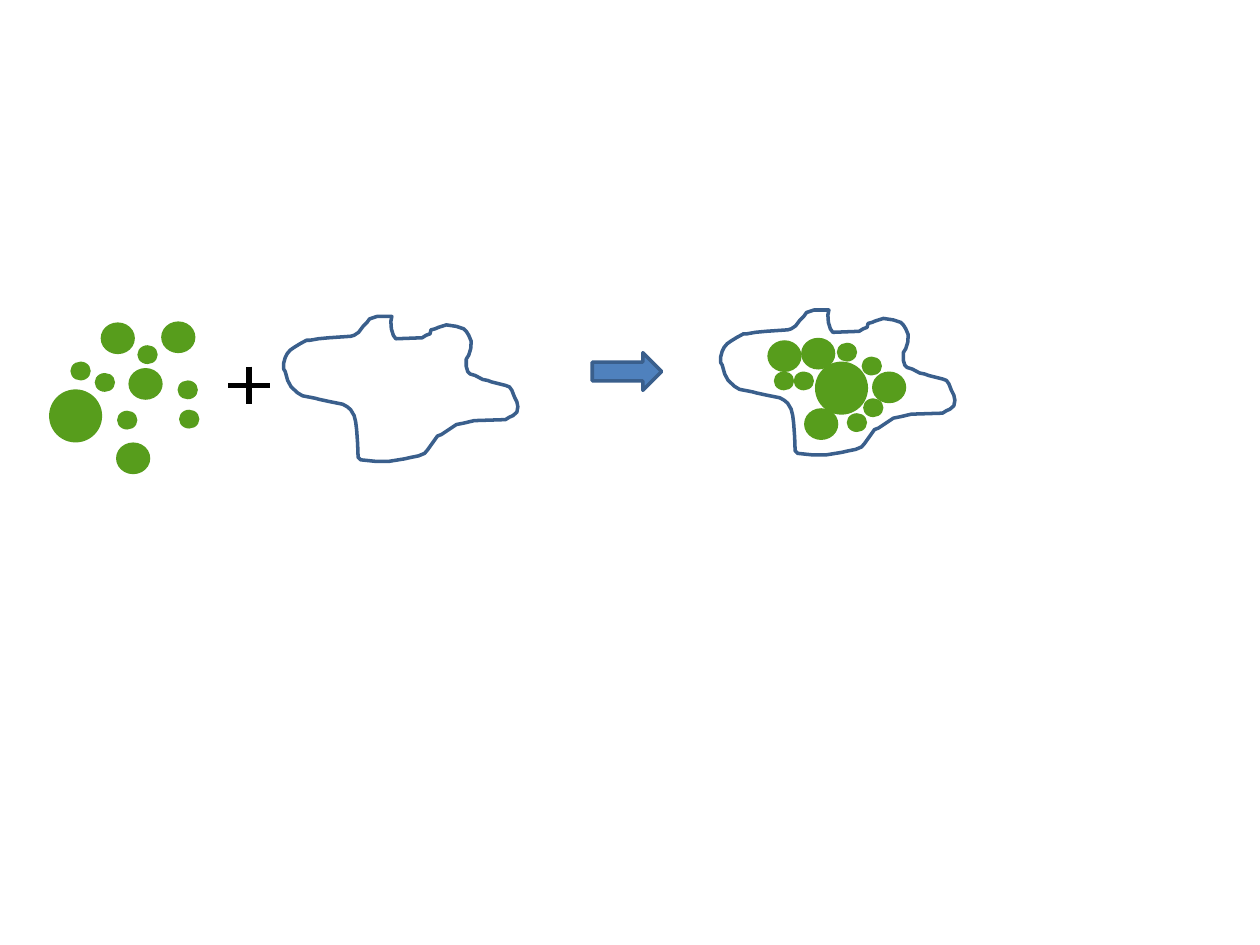
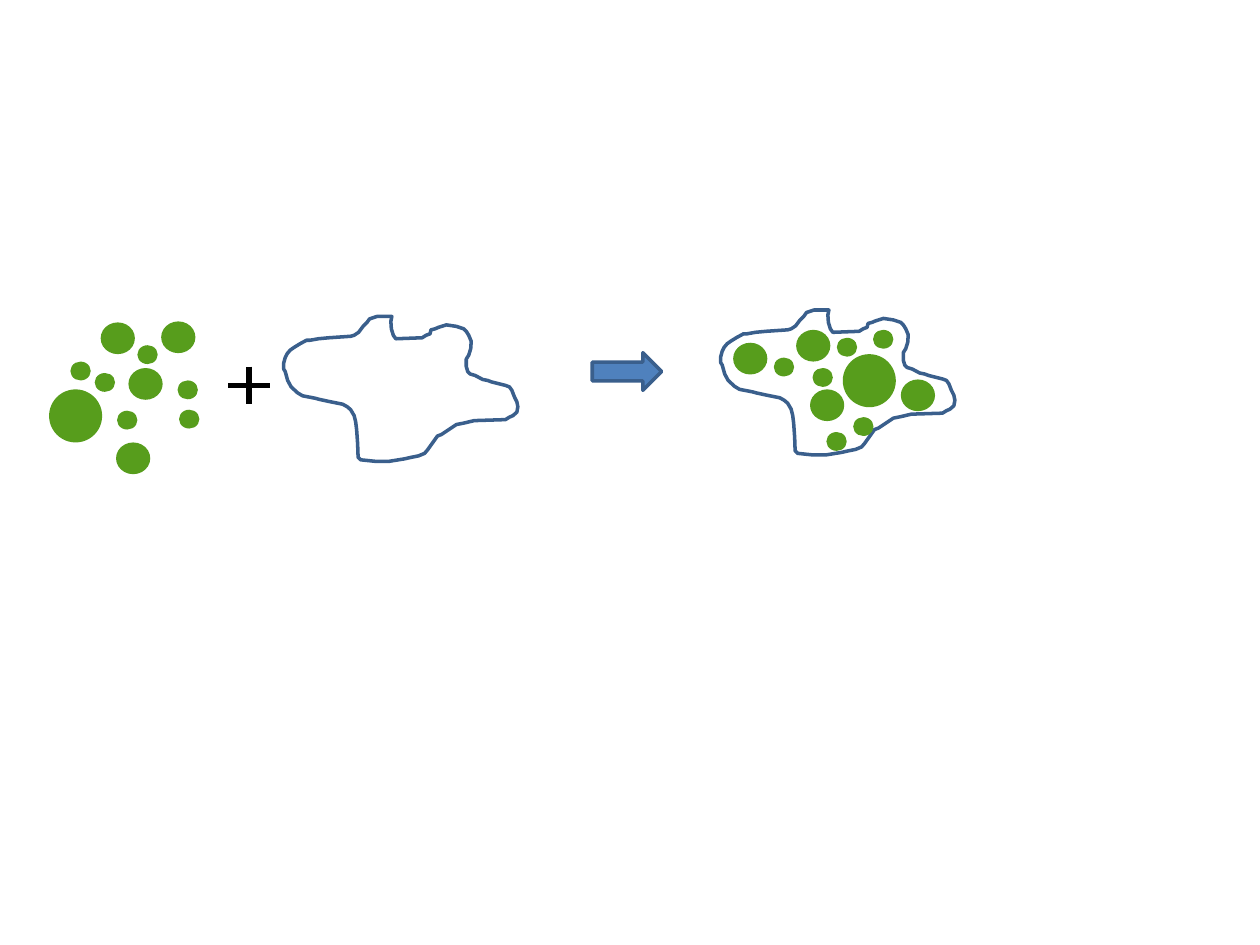
from lxml import etree
from pptx import Presentation
from pptx import util as u
from pptx.dml.color import RGBColor
from pptx.enum import shapes
from pptx.oxml import ns

GREEN = RGBColor(0x57, 0x9D, 0x1C)
BLUE = RGBColor(0x4F, 0x81, 0xBD)
DARK_BLUE = RGBColor(0x3A, 0x5F, 0x8C)
BLACK = RGBColor(0, 0, 0)

OUTLINE_FORMAT = {"color": DARK_BLUE, "width": u.Pt(2)}
PLUS_FORMAT = {"color": BLACK, "width": u.Pt(3)}

PARTICLE_SIZES = {"large": (1.07, 1.07), "medium": (0.69, 0.64), "small": (0.41, 0.38)}

LOOSE_PARTICLES = {
    "large": [(0.99, 7.85)],
    "medium": [(2.59, 7.42), (2.03, 6.5), (3.25, 6.48), (2.34, 8.92)],
    "small": [(1.42, 7.29), (2.36, 8.28), (2.77, 6.96), (3.61, 8.26), (1.91, 7.52), (3.58, 7.67)],
}
CLUSTERED_PARTICLES = {
    "large": [(16.43, 7.29)],
    "medium": [(15.47, 6.86), (16.15, 6.81), (17.58, 7.49), (16.21, 8.23)],
    "small": [(15.6, 7.49), (17.07, 8.33), (16.87, 6.91), (17.4, 8.03), (16, 7.49), (17.37, 7.19)],
}
SPREAD_PARTICLES = {
    "large": [(16.99, 7.14)],
    "medium": [(14.78, 6.91), (16.05, 6.65), (18.16, 7.65), (16.33, 7.85)],
    "small": [(15.6, 7.21), (16.66, 8.71), (16.87, 6.81), (17.2, 8.41), (16.38, 7.42), (17.6, 6.65)],
}

CELL_ORIGINS = [(5.72, 6.35), (14.53, 6.22)]
CELL_OUTLINE = [
    (218, 3), (216, 13), (217, 28), (221, 41), (226, 48), (279, 46), (287, 41),
    (295, 38), (297, 30), (305, 28), (312, 25), (328, 20), (348, 23), (363, 28),
    (368, 33), (373, 41), (378, 53), (377, 68), (373, 81), (368, 89), (368, 104),
    (371, 114), (376, 119), (386, 122), (401, 130), (411, 132), (419, 135),
    (447, 142), (455, 145), (460, 152), (465, 165), (470, 175), (472, 185),
    (470, 196), (462, 203), (455, 206), (447, 211), (384, 213), (363, 218),
    (348, 221), (333, 231), (318, 241), (310, 244), (290, 272), (284, 279),
    (272, 284), (257, 287), (244, 290), (213, 295), (184, 295), (155, 292),
    (150, 287), (149, 259), (147, 231), (145, 215), (142, 203), (135, 191),
    (128, 185), (119, 180), (94, 175), (71, 170), (64, 168), (38, 163),
    (28, 157), (15, 145), (8, 132), (3, 114), (0, 109), (0, 97), (3, 86),
    (7, 78), (13, 71), (20, 66), (33, 58), (46, 51), (53, 51), (70, 48),
    (91, 46), (135, 43), (142, 41), (151, 35), (160, 23), (168, 15), (173, 8),
    (188, 3),
]

PLUS_X, PLUS_Y = 5.02, 7.77
PLUS_ARMS = [(0, 0.38), (0.42, 0)]


def set_line(line, line_format):
    line.color.rgb = line_format["color"]
    for name, value in line_format.items():
        if name != "color":
            setattr(line, name, value)


def add_particles(slide, particles):
    for size, positions in particles.items():
        width, height = PARTICLE_SIZES[size]
        for left, top in positions:
            shape = slide.shapes.add_shape(
                shapes.MSO_SHAPE.OVAL, u.Cm(left), u.Cm(top), u.Cm(width), u.Cm(height)
            )
            shape.shadow.inherit = False
            shape.fill.solid()
            shape.fill.fore_color.rgb = GREEN
            shape.line.fill.background()


presentation = Presentation()
presentation.slide_width = u.Cm(25.4)
presentation.slide_height = u.Cm(19.05)

for enclosed_particles in (CLUSTERED_PARTICLES, SPREAD_PARTICLES):
    slide = presentation.slides.add_slide(presentation.slide_layouts[6])

    for left, top in CELL_ORIGINS:
        builder = slide.shapes.build_freeform(*CELL_OUTLINE[0], scale=u.Cm(0.01))
        builder.add_line_segments(CELL_OUTLINE[1:], close=True)
        cell = builder.convert_to_shape(u.Cm(left), u.Cm(top))
        cell.shadow.inherit = False
        cell.fill.background()
        set_line(cell.line, OUTLINE_FORMAT)

    for reach_x, reach_y in PLUS_ARMS:
        arm = slide.shapes.add_connector(
            shapes.MSO_CONNECTOR.STRAIGHT,
            u.Cm(PLUS_X - reach_x), u.Cm(PLUS_Y - reach_y),
            u.Cm(PLUS_X + reach_x), u.Cm(PLUS_Y + reach_y),
        )
        set_line(arm.line, PLUS_FORMAT)
        etree.SubElement(arm._element.spPr, ns.qn("a:effectLst"))

    arrow = slide.shapes.add_shape(
        shapes.MSO_SHAPE.RIGHT_ARROW, u.Cm(11.94), u.Cm(7.11), u.Cm(1.4), u.Cm(0.76)
    )
    arrow.shadow.inherit = False
    arrow.fill.solid()
    arrow.fill.fore_color.rgb = BLUE
    set_line(arrow.line, OUTLINE_FORMAT)

    add_particles(slide, enclosed_particles)
    add_particles(slide, LOOSE_PARTICLES)

presentation.save("out.pptx")
